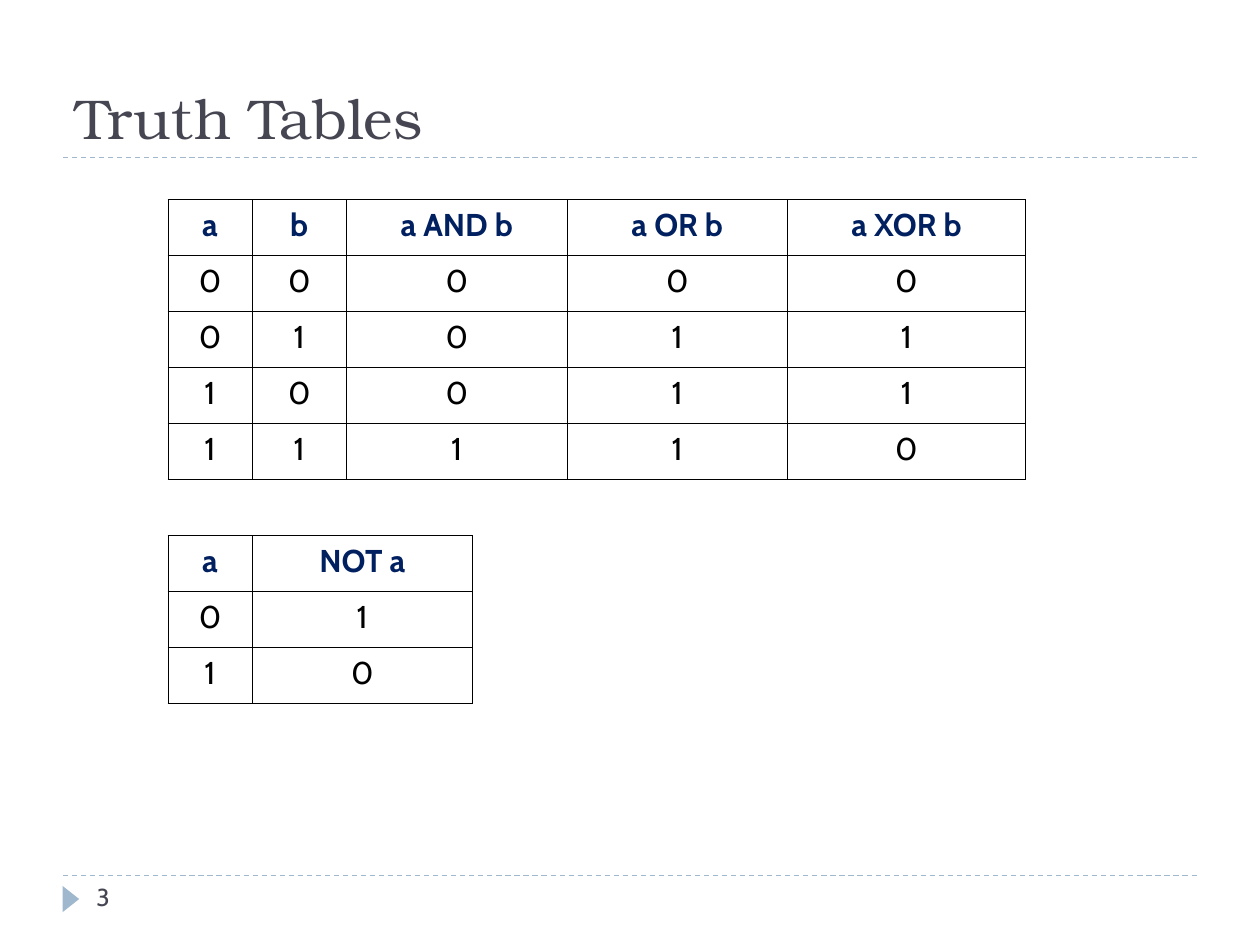
from pptx import Presentation
from pptx.dml.color import RGBColor
from pptx.enum.dml import MSO_LINE_DASH_STYLE as Dash
from pptx.enum.shapes import MSO_CONNECTOR as Connector, MSO_SHAPE as Shape
from pptx.enum.text import MSO_ANCHOR as Anchor, PP_ALIGN as Align
from pptx.oxml.ns import qn
from pptx.util import Pt
from lxml.etree import SubElement

COLORS = {"title": "464653", "accent": "9FB8CD", "header": "002060", "ink": "000000"}
HEADING_FONT, BODY_FONT = "TeX Gyre Bonum", "Cabin"


def rgb(name):
    return RGBColor.from_string(COLORS[name])


class SlideBuilder:
    """Holds the style and the current page; each method adds one kind of element."""

    row_height = 32
    border_width = 0.45

    def __init__(self, page):
        self.page = page

    def add_span(self, para, text, size, color, font=BODY_FONT, bold=False, align=Align.LEFT):
        para.alignment = align
        span = para.add_run()
        span.text = text
        span.font.name, span.font.size, span.font.bold = font, Pt(size), bold
        span.font.color.rgb = rgb(color)

    def title(self, text, left, top, width, height):
        box = self.page.shapes.title
        box.left, box.top, box.width, box.height = Pt(left), Pt(top), Pt(width), Pt(height)
        box.text_frame.vertical_anchor = Anchor.BOTTOM
        self.add_span(box.text_frame.paragraphs[0], text, 32, "title", HEADING_FONT)

    def text(self, text, left, top, width, height):
        box = self.page.shapes.add_textbox(Pt(left), Pt(top), Pt(width), Pt(height))
        box.text_frame.word_wrap = True
        self.add_span(box.text_frame.paragraphs[0], text, 14, "title")

    def rule(self, left, right, y):
        rule = self.page.shapes.add_connector(
            Connector.STRAIGHT, Pt(left), Pt(y), Pt(right), Pt(y))
        rule.line.color.rgb = rgb("accent")
        rule.line.width = Pt(0.75)
        rule.line.dash_style = Dash.DASH
        SubElement(rule._element.spPr, qn("a:effectLst"))

    def marker(self, left, top, width, height):
        marker = self.page.shapes.add_shape(
            Shape.ISOSCELES_TRIANGLE, Pt(left), Pt(top), Pt(width), Pt(height))
        marker.rotation = 90
        marker.shadow.inherit = False
        marker.fill.solid()
        marker.fill.fore_color.rgb = rgb("accent")
        marker.line.fill.background()

    def border(self, cell):
        props = cell._tc.get_or_add_tcPr()
        for side in ("a:lnL", "a:lnR", "a:lnT", "a:lnB"):
            line = SubElement(props, qn(side), w=str(Pt(self.border_width)))
            fill = SubElement(line, qn("a:solidFill"))
            SubElement(fill, qn("a:srgbClr"), val=COLORS["ink"])

    def table(self, left, top, widths, rows):
        frame = self.page.shapes.add_table(
            len(rows), len(widths), Pt(left), Pt(top),
            Pt(sum(widths)), Pt(self.row_height * len(rows)))
        table = frame.table
        table.first_row = table.horz_banding = False
        for column, width in zip(table.columns, widths):
            column.width = Pt(width)
        for r, values in enumerate(rows):
            table.rows[r].height = Pt(self.row_height)
            header = r == 0
            for c, value in enumerate(values):
                cell = table.cell(r, c)
                self.border(cell)
                cell.fill.background()
                self.add_span(cell.text_frame.paragraphs[0], str(value), 18,
                              "header" if header else "ink", bold=header, align=Align.CENTER)


def main():
    deck = Presentation()
    deck.slide_width, deck.slide_height = Pt(720), Pt(540)
    builder = SlideBuilder(deck.slides.add_slide(deck.slide_layouts[5]))

    # Page frame: dashed rules and footer marker
    for y in (500.4, 90):
        builder.rule(36, 684, y)
    builder.marker(33, 509, 15, 9.5)

    # Title and page number
    builder.title("Truth Tables", 36, 12, 648, 78)
    builder.text("3", 48, 500.4, 156, 29)

    # Two-input operators, worked out from the inputs
    pairs = [(a, b) for a in (0, 1) for b in (0, 1)]
    builder.table(96, 114, [48, 54, 126, 126, 136],
                  [("a", "b", "a AND b", "a OR b", "a XOR b")]
                  + [(a, b, a & b, a | b, a ^ b) for a, b in pairs])

    # One-input operator
    builder.table(96, 306, [48, 126],
                  [("a", "NOT a")] + [(a, 1 - a) for a in (0, 1)])

    deck.save("out.pptx")


if __name__ == "__main__":
    main()
